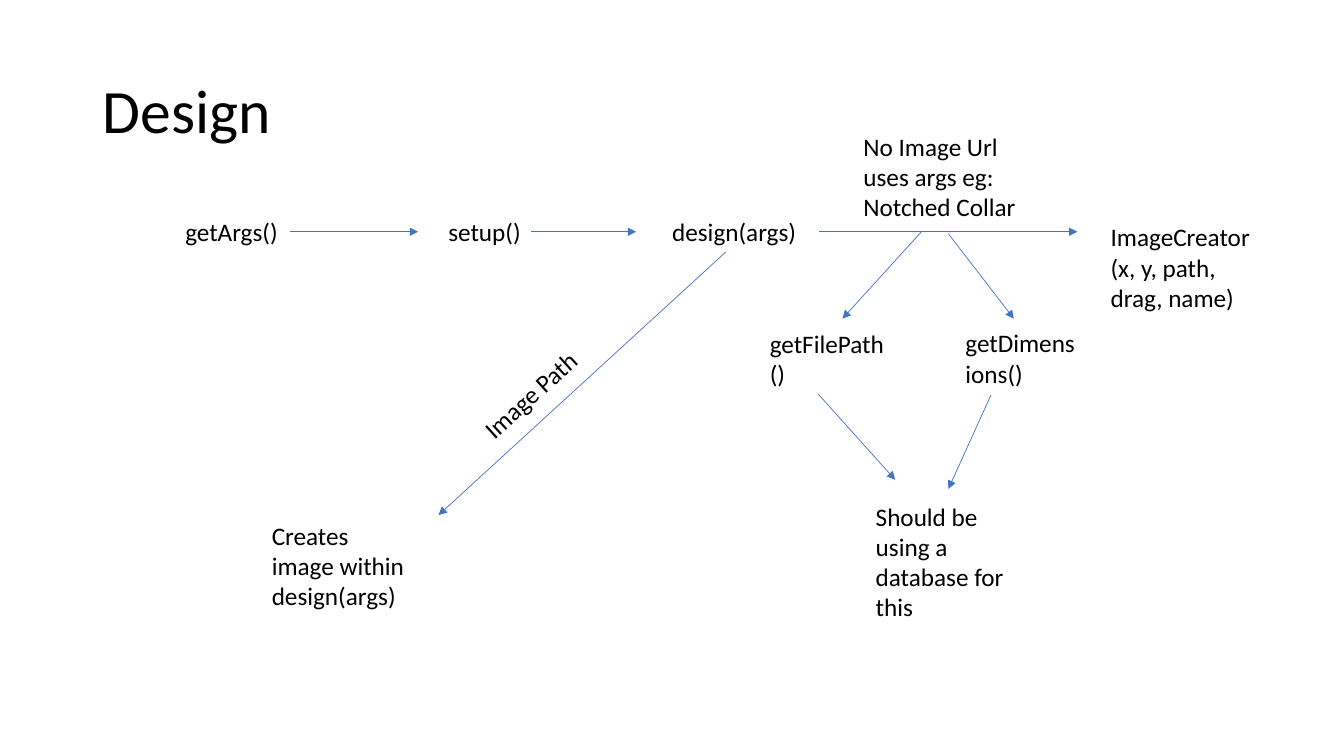
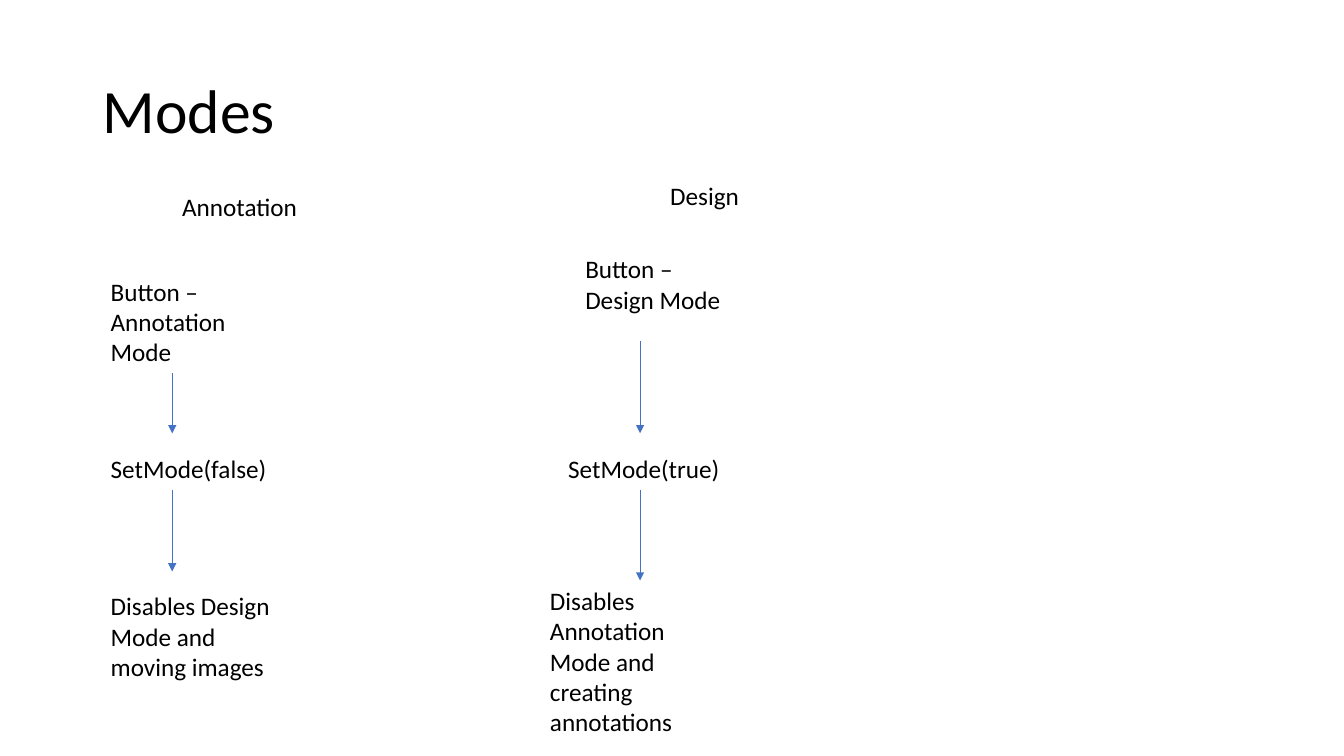
from lxml.etree import SubElement
from pptx import Presentation
from pptx.dml.color import RGBColor
from pptx.enum.shapes import MSO_CONNECTOR
from pptx.enum.text import MSO_ANCHOR, MSO_AUTO_SIZE
from pptx.oxml.ns import qn
from pptx.util import Cm, Pt

COLORS = {"text": "000000", "arrow": "4472C4"}
FONT = "Calibri"
BODY_SIZE = 18
TITLE_SIZE = 44
LINE_HEIGHT = 0.77
BOX_PADDING = 0.26


def add_text(slide, text, left, top, width, height, size):
    """Add a wrapping text box in the shared font and return it."""
    shape = slide.shapes.add_textbox(Cm(left), Cm(top), Cm(width), Cm(height))
    text_frame = shape.text_frame
    text_frame.word_wrap = True
    text_frame.text = text
    for paragraph in text_frame.paragraphs:
        for run in paragraph.runs:
            run.font.name = FONT
            run.font.size = Pt(size)
            run.font.color.rgb = RGBColor.from_string(COLORS["text"])
    return shape


def add_titled_slide(presentation, title):
    """Add a blank slide with the shared title."""
    slide = presentation.slides.add_slide(presentation.slide_layouts[6])
    shape = add_text(slide, title, 2.34, 1.02, 29.21, 3.68, TITLE_SIZE)
    shape.text_frame.vertical_anchor = MSO_ANCHOR.MIDDLE
    shape.text_frame.paragraphs[0].line_spacing = 0.9
    return slide


def add_label(slide, text, left, top, width, lines=1, rotation=0):
    """Add a label whose height follows from its number of lines."""
    height = BOX_PADDING + LINE_HEIGHT * lines
    shape = add_text(slide, text, left, top, width, height, BODY_SIZE)
    shape.text_frame.auto_size = MSO_AUTO_SIZE.SHAPE_TO_FIT_TEXT
    shape.rotation = rotation


def add_arrow(slide, start_x, start_y, end_x, end_y):
    """Add a thin straight arrow that points at its end."""
    connector = slide.shapes.add_connector(
        MSO_CONNECTOR.STRAIGHT, Cm(start_x), Cm(start_y), Cm(end_x), Cm(end_y))
    connector.line.color.rgb = RGBColor.from_string(COLORS["arrow"])
    connector.line.width = Pt(0.5)
    SubElement(connector.line._get_or_add_ln(), qn("a:tailEnd"), type="triangle")
    SubElement(connector._element.spPr, qn("a:effectLst"))


def build_design_slide(presentation):
    """Show the calls that lead from the arguments to an image."""
    slide = add_titled_slide(presentation, "Design")
    call_top, call_arrow_y = 5.33, 5.84
    for text, left, width in [("getArgs()", 4.42, 5.33),
                              ("setup()", 11.05, 4.98),
                              ("design(args)", 16.69, 4.9)]:
        add_label(slide, text, left, call_top, width)
    for start_x, end_x in [(7.32, 10.54), (13.39, 16.03), (20.65, 27.15)]:
        add_arrow(slide, start_x, call_arrow_y, end_x, call_arrow_y)

    add_label(slide, "No Image Url uses args eg: Notched Collar", 21.51, 3.18, 4.98, 3)
    add_label(slide, "ImageCreator\n(x, y, path, drag, name)", 27.74, 5.46, 4.42, 3)
    add_label(slide, "getFilePath()", 19.15, 8.15, 3.43, 2)
    add_label(slide, "getDimensions()", 24.08, 8.13, 3.3, 2)
    add_label(slide, "Should be using a database for this", 21.82, 12.5, 4.39, 4)
    add_label(slide, "Image Path", 11.56, 9.14, 4.27, rotation=317.8)
    add_label(slide, "Creates image within design(args)", 6.6, 12.98, 3.96, 3)

    branch_arrows = [
        (23.22, call_arrow_y, 21.23, 8.03),
        (23.9, 5.89, 25.55, 8.03),
        (24.97, 9.96, 23.9, 12.32),
        (20.62, 9.93, 22.56, 12.09),
        (18.29, 6.35, 11.05, 12.98),
    ]
    for points in branch_arrows:
        add_arrow(slide, *points)


def add_mode_flow(slide, labels, arrow_x, arrow_spans):
    """Add one mode's labels and the vertical arrows between them."""
    for label in labels:
        add_label(slide, *label)
    for start_y, end_y in arrow_spans:
        add_arrow(slide, arrow_x, start_y, arrow_x, end_y)


def build_modes_slide(presentation):
    """Show what each mode button sets and disables."""
    slide = add_titled_slide(presentation, "Modes")
    set_mode_top = 11.3
    annotation_labels = [
        ("Annotation", 4.34, 4.7, 4.72),
        ("Button – Annotation Mode", 2.54, 6.83, 4.24, 3),
        ("SetMode(false)", 2.54, set_mode_top, 4.72),
        ("Disables Design Mode and moving images", 2.54, 14.76, 4.98, 3),
    ]
    design_labels = [
        ("Design", 16.64, 4.42, 4.6),
        ("Button – Design Mode", 14.5, 6.27, 4.24, 2),
        ("SetMode(true)", 14.07, set_mode_top, 4.72),
        ("Disables Annotation Mode and creating annotations", 13.61, 14.63, 4.98, 5),
    ]
    add_mode_flow(slide, annotation_labels, 4.34, [(9.4, 10.92), (12.34, 14.4)])
    add_mode_flow(slide, design_labels, 16.13, [(8.59, 10.92), (12.34, 14.63)])


def main():
    """Build and save the presentation."""
    presentation = Presentation()
    presentation.slide_width = Cm(33.87)
    presentation.slide_height = Cm(19.05)
    build_design_slide(presentation)
    build_modes_slide(presentation)
    presentation.save("out.pptx")


main()
